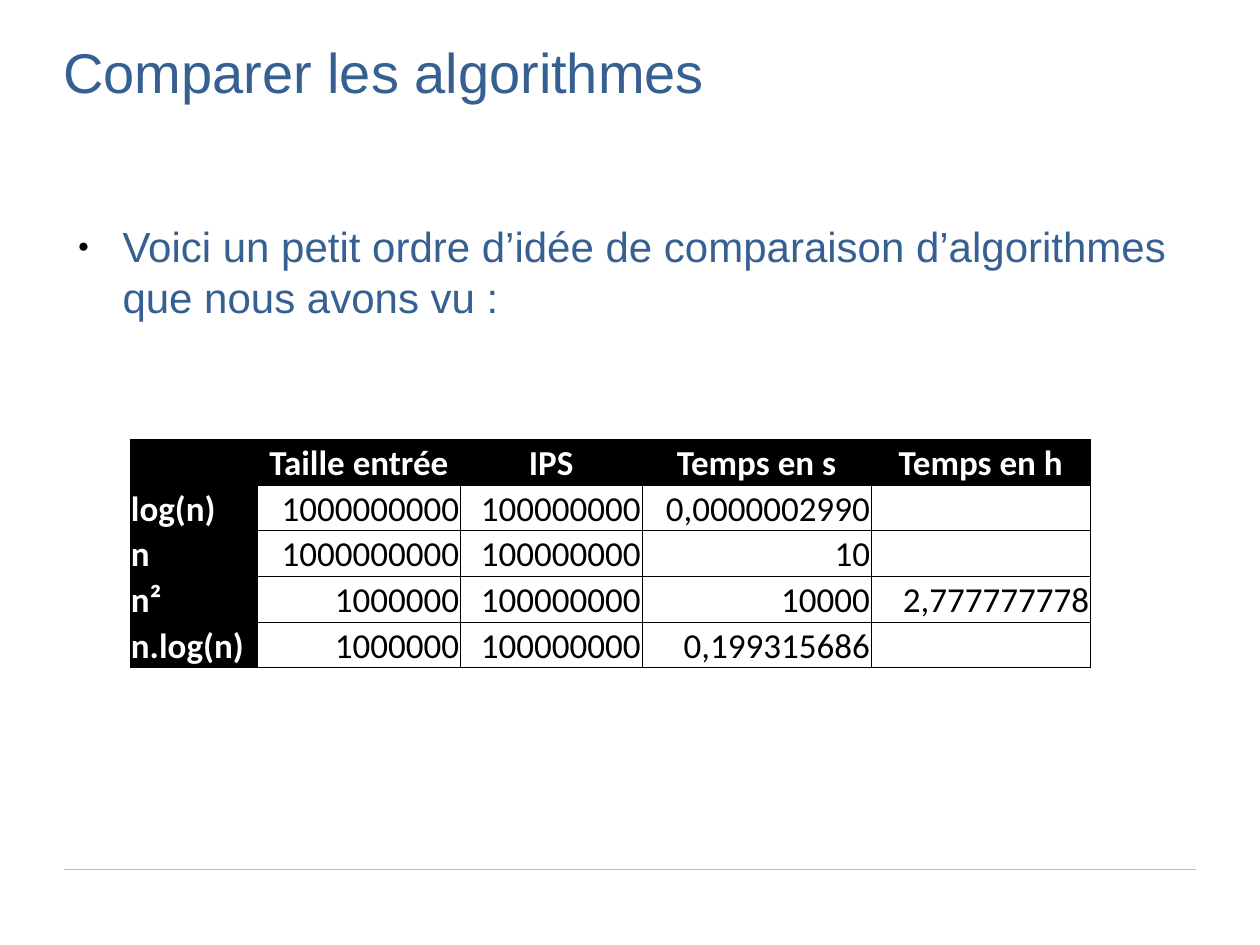
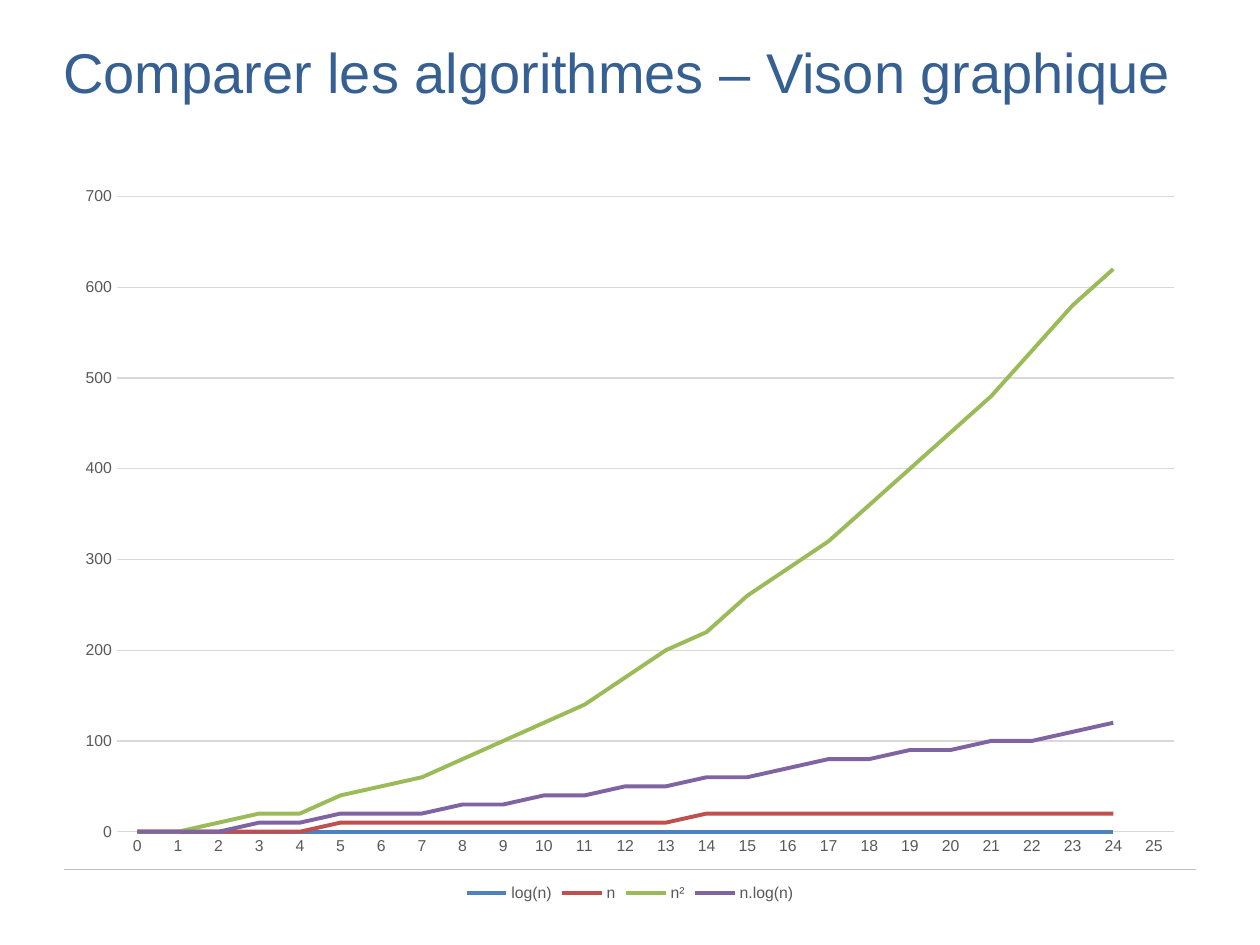
import math

import pptx
import pptx.chart.data
import pptx.dml.color
import pptx.enum.chart
import pptx.enum.dml
import pptx.enum.shapes
import pptx.enum.text
import pptx.oxml
import pptx.oxml.ns
import pptx.util

Cm = pptx.util.Cm
Pt = pptx.util.Pt
ALIGN = pptx.enum.text.PP_ALIGN
ANCHOR = pptx.enum.text.MSO_ANCHOR
CHART = pptx.enum.chart

COLOURS = {
    "heading": "376092",
    "rule": "BFBFBF",
    "grid": "D9D9D9",
    "axis": "595959",
    "ink": "000000",
    "paper": "FFFFFF",
    "log(n)": "4F81BD",
    "n": "C0504D",
    "n²": "9BBB59",
    "n.log(n)": "8064A2",
}

COMPARISON = [
    ["", "Taille entrée", "IPS", "Temps en s", "Temps en h"],
    ["log(n)", "1000000000", "100000000", "0,0000002990", ""],
    ["n", "1000000000", "100000000", "10", ""],
    ["n²", "1000000", "100000000", "10000", "2,777777778"],
    ["n.log(n)", "1000000", "100000000", "0,199315686", ""],
]

GROWTH = {
    "log(n)": math.log2,
    "n": lambda n: n,
    "n²": lambda n: n * n,
    "n.log(n)": lambda n: n * math.log2(n),
}


def apply(target, values):
    for name, value in values.items():
        setattr(target, name, value)


def colour(name):
    return pptx.dml.color.RGBColor.from_string(COLOURS[name])


def add_xml(parent, tag, body="", attributes=""):
    space = pptx.oxml.ns.nsdecls("a")
    parent.append(pptx.oxml.parse_xml(f"<a:{tag} {space} {attributes}>{body}</a:{tag}>"))


def fill_xml(name):
    return f'<a:solidFill><a:srgbClr val="{COLOURS[name]}"/></a:solidFill>'


class SlideWriter:
    def __init__(self):
        self.deck = pptx.Presentation()
        apply(self.deck, {"slide_width": Cm(25.4), "slide_height": Cm(19.05)})
        self.page = None

    def start(self, layout, title):
        self.page = self.deck.slides.add_slide(self.deck.slide_layouts[layout])
        self.placeholder(self.page.shapes.title, title, 32, (1.27, 0.76, 22.86, 3.18))
        self.rule(1.3, 24.1, 17.53)

    def font(self, font, size, ink, family="Arial", bold=False):
        apply(font, {"size": Pt(size), "name": family, "bold": bold})
        font.color.rgb = colour(ink)

    def line(self, line, ink, width):
        line.color.rgb = colour(ink)
        line.width = Pt(width)

    def placeholder(self, box, text, size, place):
        apply(box, dict(zip(("left", "top", "width", "height"), map(Cm, place))))
        apply(box.text_frame, {
            "margin_left": 0, "margin_right": 0, "margin_top": 0,
            "margin_bottom": 0, "word_wrap": True, "vertical_anchor": ANCHOR.TOP,
            "auto_size": pptx.enum.text.MSO_AUTO_SIZE.NONE,
        })
        para = box.text_frame.paragraphs[0]
        apply(para, {"alignment": ALIGN.LEFT, "space_before": Pt(0)})
        span = para.add_run()
        span.text = text
        self.font(span.font, size, "heading")
        return para

    def bullet(self, text):
        para = self.placeholder(
            self.page.placeholders[1], text, 24, (1.27, 4.45, 22.86, 12.57))
        para.space_after = Pt(10.6)
        properties = para._p.get_or_add_pPr()
        properties.set("marL", str(Cm(1.2)))
        properties.set("indent", str(-Cm(0.9)))
        add_xml(properties, "buClr", f'<a:srgbClr val="{COLOURS["ink"]}"/>')
        add_xml(properties, "buSzPct", attributes='val="45000"')
        add_xml(properties, "buChar", attributes='char="●"')

    def rule(self, left, right, top):
        rule = self.page.shapes.add_connector(
            pptx.enum.shapes.MSO_CONNECTOR.STRAIGHT, Cm(left), Cm(top), Cm(right), Cm(top))
        self.line(rule.line, "rule", 0.75)
        add_xml(rule._element.spPr, "effectLst")

    def cell(self, cell, text, header, alignment):
        apply(cell, {
            "margin_left": Cm(0.02), "margin_right": Cm(0.02), "margin_top": Cm(0.02),
            "margin_bottom": 0, "vertical_anchor": ANCHOR.BOTTOM,
        })
        for side in ("lnL", "lnR", "lnT", "lnB"):
            add_xml(cell._tc.get_or_add_tcPr(), side, fill_xml("ink"), f'w="{Pt(0.5)}"')
        if header:
            cell.fill.solid()
            cell.fill.fore_color.rgb = colour("ink")
        else:
            cell.fill.background()
        if text:
            para = cell.text_frame.paragraphs[0]
            para.alignment = alignment
            span = para.add_run()
            span.text = text
            self.font(span.font, 20, "paper" if header else "ink", "Calibri", header)

    def table(self, rows, widths, left, top, row_height):
        table = self.page.shapes.add_table(
            len(rows), len(widths), Cm(left), Cm(top),
            Cm(sum(widths)), Cm(row_height * len(rows))).table
        apply(table, {"first_row": False, "horz_banding": False})
        for column, width in zip(table.columns, widths):
            column.width = Cm(width)
        for r, row in enumerate(rows):
            table.rows[r].height = Cm(row_height)
            for c, text in enumerate(row):
                alignment = ALIGN.CENTER if r == 0 else ALIGN.RIGHT if c else ALIGN.LEFT
                self.cell(table.cell(r, c), text, r == 0 or c == 0, alignment)

    def line_chart(self, categories, series, place):
        data = pptx.chart.data.CategoryChartData()
        data.categories = categories
        for name, values in series.items():
            data.add_series(name, values)
        chart = self.page.shapes.add_chart(
            CHART.XL_CHART_TYPE.LINE, *map(Cm, place), data).chart
        self.font(chart.font, 10, "ink")
        apply(chart, {"has_title": False, "has_legend": True})
        apply(chart.legend, {
            "position": CHART.XL_LEGEND_POSITION.BOTTOM, "include_in_layout": False})
        self.font(chart.legend.font, 9, "axis")
        for axis in (chart.category_axis, chart.value_axis):
            apply(axis, {
                "major_tick_mark": CHART.XL_TICK_MARK.NONE,
                "minor_tick_mark": CHART.XL_TICK_MARK.NONE,
            })
            self.font(axis.tick_labels.font, 9, "axis")
        self.line(chart.category_axis.format.line, "grid", 0.75)
        chart.value_axis.format.line.fill.background()
        self.line(chart.value_axis.major_gridlines.format.line, "grid", 0.75)
        plot = chart.plots[0]
        plot.vary_by_categories = False
        for curve in plot.series:
            curve.smooth = False
            self.line(curve.format.line, curve.name, 2.25)


def main():
    writer = SlideWriter()

    writer.start(1, "Comparer les algorithmes")
    writer.bullet(
        "Voici un petit ordre d’idée de comparaison d’algorithmes que nous avons vu :")
    writer.table(COMPARISON, (2.57, 4.09, 3.66, 4.62, 4.42), 2.62, 8.86, 0.92)

    writer.start(5, "Comparer les algorithmes – Vison graphique")
    curves = {
        name: [int(round(growth(n), -1)) for n in range(1, 26)] + [None]
        for name, growth in GROWTH.items()
    }
    writer.line_chart([str(n) for n in range(26)], curves, (1.27, 3.48, 22.86, 14.81))

    writer.deck.save("out.pptx")


if __name__ == "__main__":
    main()
